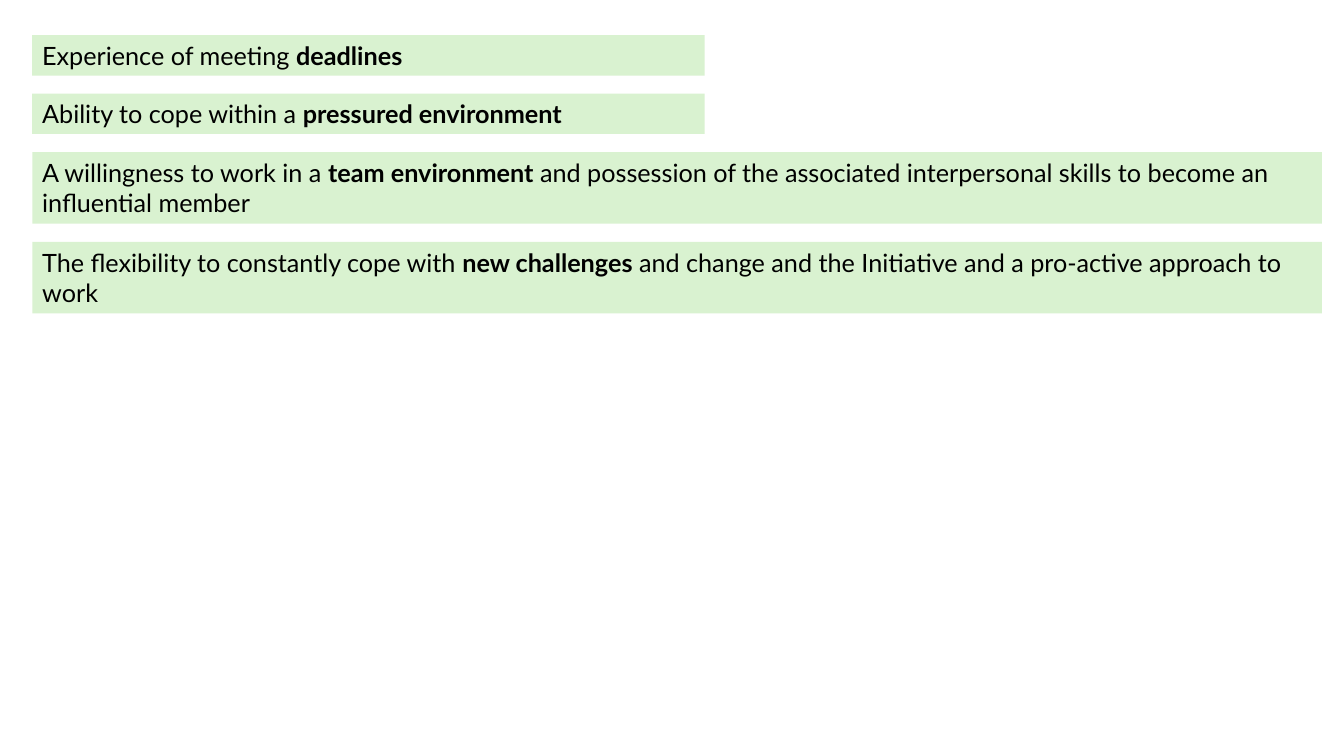
from pptx import Presentation
from pptx.dml.color import RGBColor
from pptx.enum.text import MSO_ANCHOR, MSO_AUTO_SIZE, PP_ALIGN
from pptx.util import Inches, Pt

GROW = MSO_AUTO_SIZE.SHAPE_TO_FIT_TEXT
TOP = MSO_ANCHOR.TOP
LEFT = PP_ALIGN.LEFT
COLORS = {"band": "D9F2D0", "text": "000000"}
FONT = "Lato"

SHORT_BAND = (6.67, 0.4)
LONG_BAND = (12.79, 0.71)
BAND_GAP = 0.18

SKILLS = [
    (SHORT_BAND, "Experience of meeting ", "deadlines", ""),
    (SHORT_BAND, "Ability to cope within a ", "pressured environment", ""),
    (LONG_BAND, "A willingness to work in a ", "team environment",
     " and possession of the associated interpersonal skills to become an influential member"),
    (LONG_BAND, "The flexibility to constantly cope with ", "new challenges",
     " and change and the Initiative and a pro-active approach to work"),
]


def add_text(paragraph, text, *, size=18, bold=False, color="text"):
    run = paragraph.add_run()
    run.text = text
    run.font.name = FONT
    run.font.size = Pt(size)
    run.font.bold = bold
    run.font.color.rgb = RGBColor.from_string(COLORS[color])


def add_skill_band(slide, left, top, width, height, lead, keyword, rest):
    band = slide.shapes.add_textbox(Inches(left), Inches(top), Inches(width), Inches(height))
    band.fill.solid()
    band.fill.fore_color.rgb = RGBColor.from_string(COLORS["band"])
    frame = band.text_frame
    frame.word_wrap = True
    frame.auto_size = GROW
    frame.vertical_anchor = TOP
    sentence = frame.paragraphs[0]
    sentence.alignment = LEFT
    add_text(sentence, lead)
    add_text(sentence, keyword, bold=True)
    if rest:
        add_text(sentence, rest)


def add_skill_list(slide, left, top):
    for (width, height), lead, keyword, rest in SKILLS:
        add_skill_band(slide, left, top, width, height, lead, keyword, rest)
        top += height + BAND_GAP


def main():
    deck = Presentation()
    deck.slide_width = Inches(13.33)
    deck.slide_height = Inches(7.5)
    slide = deck.slides.add_slide(deck.slide_layouts[6])
    add_skill_list(slide, 0.32, 0.35)
    deck.save("out.pptx")


if __name__ == "__main__":
    main()
